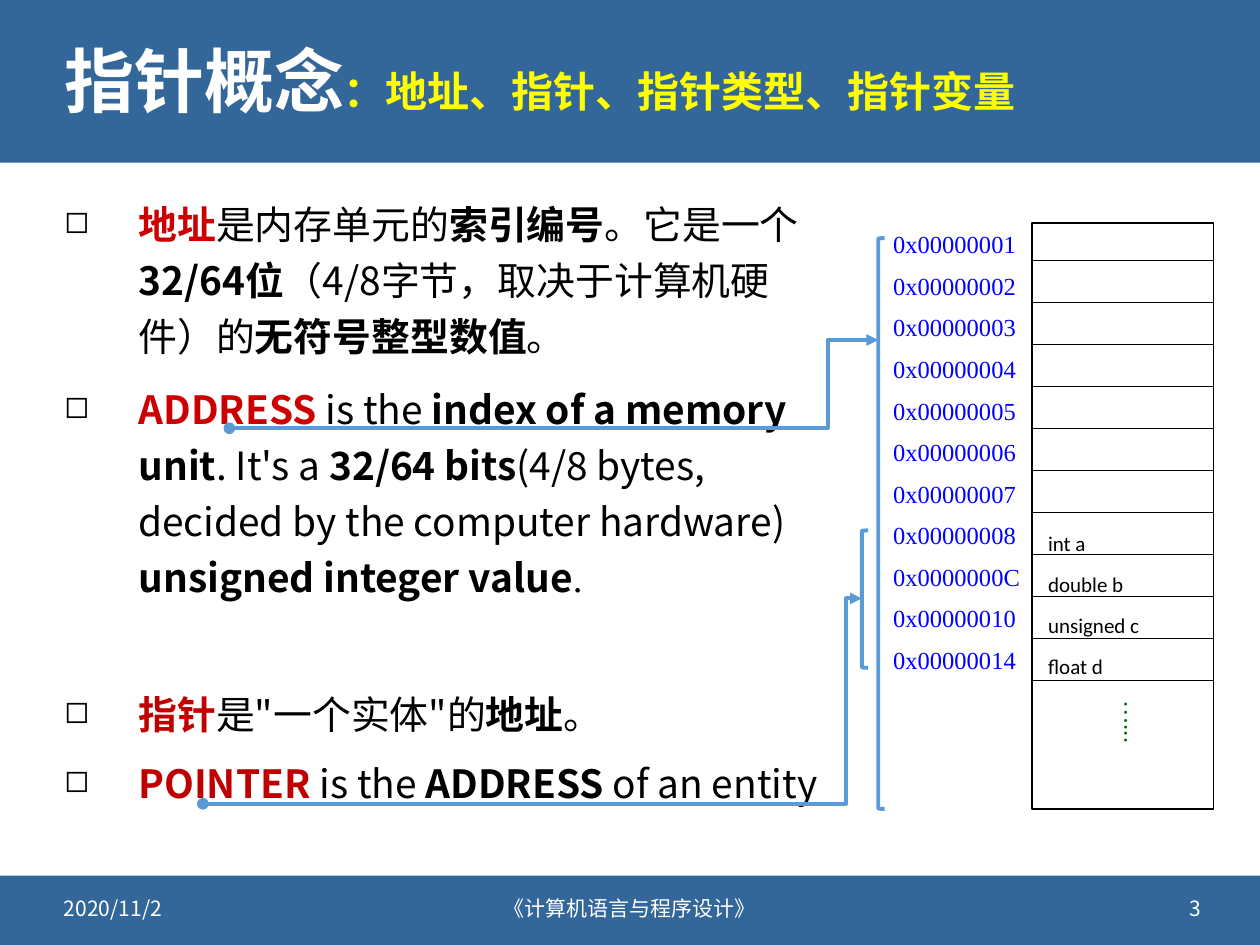
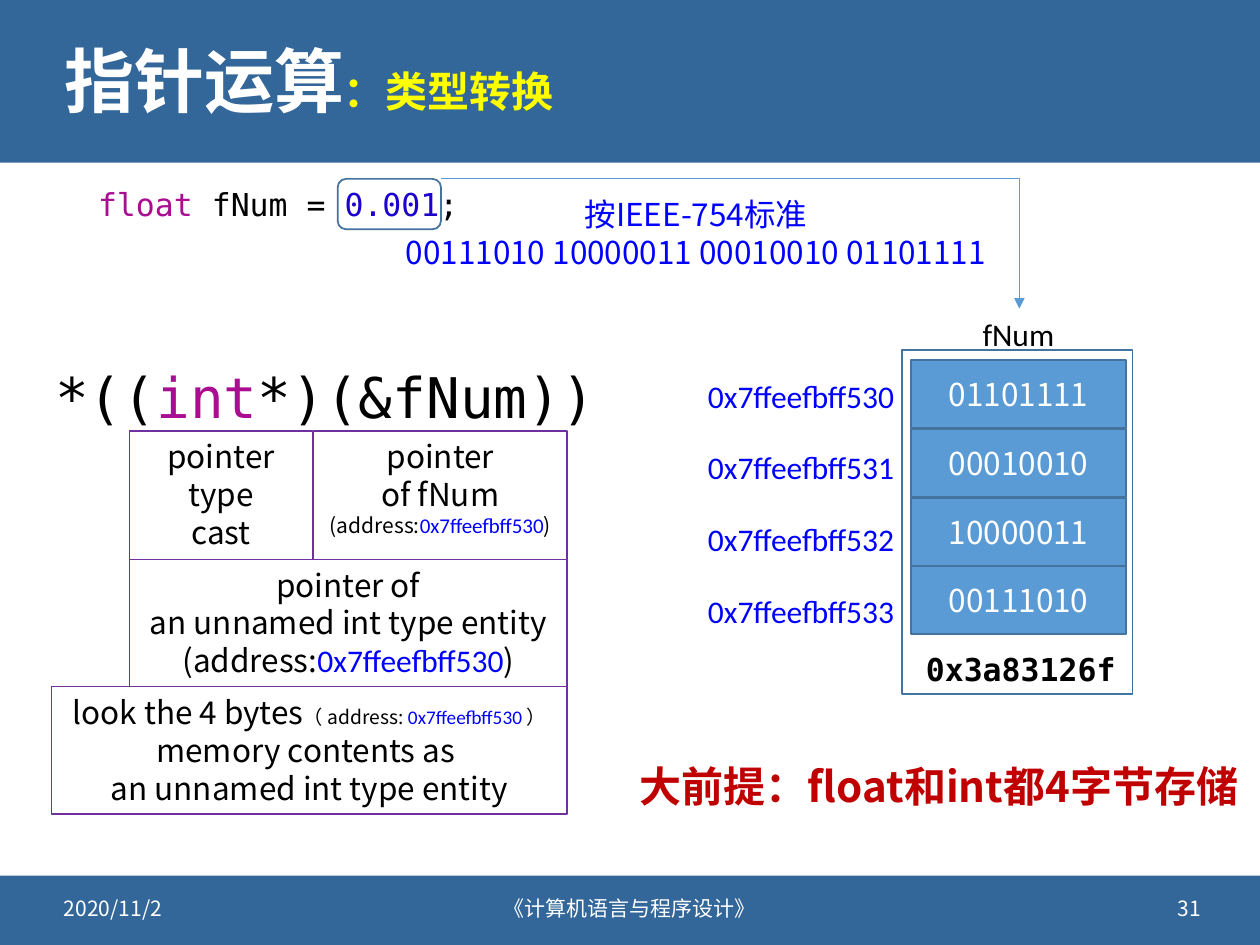
from dataclasses import dataclass, replace
from typing import NamedTuple

from lxml import etree
from pptx import Presentation
from pptx import util as u
from pptx.dml import color
from pptx.enum import shapes, text
from pptx.oxml import ns


@dataclass(frozen=True)
class Style:
    size: float
    color: str = "000000"
    font: str = "Noto Sans CJK SC"
    bold: bool = False


@dataclass(frozen=True)
class Theme:
    band: str = "336699"
    white: str = "FFFFFF"
    yellow: str = "FFFF00"
    black: str = "000000"
    red: str = "CC0000"
    dark_red: str = "C00000"
    address: str = "0000FF"
    dots: str = "006600"
    keyword: str = "AA0D91"
    number: str = "1C00CF"
    blue: str = "5B9BD5"
    edge: str = "43739E"
    purple: str = "7030A0"
    serif: str = "Times New Roman"
    sans: str = "Calibri"
    mono: str = "DejaVu Sans Mono"
    title: float = 40
    large: float = 32
    heading: float = 24
    body: float = 22.2
    label: float = 18
    cell: float = 14
    small: float = 12
    tiny: float = 11


T = Theme()
BODY = Style(T.body)
BODY_BOLD = replace(BODY, bold=True)
BODY_RED = replace(BODY_BOLD, color=T.red)
BODY_DARK_RED = replace(BODY_BOLD, color=T.dark_red)
LABEL = Style(T.label)
SMALL = Style(T.small)
TINY = Style(T.tiny)
FOOTER = Style(T.small, T.white)
CODE = Style(T.label, font=T.mono)
BIG_CODE = Style(T.large, font=T.mono)
MEMORY_ADDRESS = Style(T.cell, T.address, T.serif)
BYTE_ADDRESS = Style(T.label, T.address, T.sans)

LEFT, CENTER, RIGHT = text.PP_ALIGN.LEFT, text.PP_ALIGN.CENTER, text.PP_ALIGN.RIGHT
TOP, MIDDLE = text.MSO_ANCHOR.TOP, text.MSO_ANCHOR.MIDDLE
RECT = shapes.MSO_SHAPE.RECTANGLE
ROUND_RECT = shapes.MSO_SHAPE.ROUNDED_RECTANGLE
BRACKET = shapes.MSO_SHAPE.LEFT_BRACKET


class Box(NamedTuple):
    left: float
    top: float
    width: float
    height: float

    def lengths(self) -> list:
        return [u.Inches(value) for value in self]


class Run(NamedTuple):
    words: str
    style: Style


class Note(NamedTuple):
    box: Box
    lines: list


class Point(NamedTuple):
    before: float
    spacing: float
    runs: list


class Link(NamedTuple):
    start: tuple
    end: tuple
    bend: int


def rgb(value: str) -> color.RGBColor:
    return color.RGBColor.from_string(value)


def child(parent, tag: str, **attributes: str):
    element = etree.SubElement(parent, ns.qn(tag))
    for key, value in attributes.items():
        element.set(key, value)
    return element


def add_runs(paragraph, runs: list) -> None:
    for words, style in runs:
        run = paragraph.add_run()
        run.text = words
        run.font.size = u.Pt(style.size)
        run.font.bold = style.bold
        run.font.name = style.font
        run.font.color.rgb = rgb(style.color)
        child(run._r.get_or_add_rPr(), "a:ea", typeface=style.font)


def write(frame, lines: list, align=LEFT, anchor=TOP, wrap: bool = True) -> None:
    frame.word_wrap = wrap
    frame.vertical_anchor = anchor
    for index, runs in enumerate(lines):
        paragraph = frame.add_paragraph() if index else frame.paragraphs[0]
        paragraph.alignment = align
        add_runs(paragraph, runs)


def add_words(slide, box: Box, lines: list, align=LEFT, anchor=TOP, wrap: bool = True):
    area = slide.shapes.add_textbox(*box.lengths())
    write(area.text_frame, lines, align, anchor, wrap)
    return area


def add_outline(slide, box: Box, line: str = "", width: float = 1, fill: str = "", kind=RECT):
    outline = slide.shapes.add_shape(kind, *box.lengths())
    outline.shadow.inherit = False
    if fill:
        outline.fill.solid()
        outline.fill.fore_color.rgb = rgb(fill)
    else:
        outline.fill.background()
    if line:
        outline.line.color.rgb = rgb(line)
        outline.line.width = u.Pt(width)
    else:
        outline.line.fill.background()
    return outline


def add_line(slide, start: tuple, end: tuple, line: str, width: float,
             kind=shapes.MSO_CONNECTOR.STRAIGHT):
    ends = [u.Inches(value) for value in (*start, *end)]
    connector = slide.shapes.add_connector(kind, *ends)
    connector.line.color.rgb = rgb(line)
    connector.line.width = u.Pt(width)
    child(connector.element.spPr, "a:effectLst")
    return connector


def add_elbow(slide, link: Link, width: float, head: str = "", preset: str = "bentConnector3") -> None:
    elbow = add_line(slide, link.start, link.end, T.blue, width, shapes.MSO_CONNECTOR.ELBOW)
    geometry = elbow.element.spPr.find(ns.qn("a:prstGeom"))
    geometry.set("prst", preset)
    if link.bend:
        guides = geometry.find(ns.qn("a:avLst"))
        if guides is None:
            guides = child(geometry, "a:avLst")
        child(guides, "a:gd", name="adj1", fmla=f"val {link.bend}")
    stroke = elbow.element.spPr.find(ns.qn("a:ln"))
    if head:
        child(stroke, "a:headEnd", type=head)
    child(stroke, "a:tailEnd", type="triangle")


def start_slide(deck, topic: str, subtopic: str, number: str):
    slide = deck.slides.add_slide(deck.slide_layouts[5])
    title = slide.shapes.title
    for box in (Box(0, 0, 10, 1.29), Box(0, 6.95, 10, 0.55)):
        title.element.addprevious(add_outline(slide, box, fill=T.band).element)
    title.left, title.top, title.width, title.height = Box(0.41, 0.18, 9.19, 0.99).lengths()
    heading = [Run(topic, Style(T.title, T.white, bold=True)),
               Run(subtopic, Style(T.heading, T.yellow, bold=True))]
    write(title.text_frame, [heading], anchor=MIDDLE)
    title.text_frame.auto_size = text.MSO_AUTO_SIZE.NONE
    title.text_frame.paragraphs[0].line_spacing = 0.9
    for left, width, words, align in ((0.41, 2.4, "2020/11/2", LEFT),
                                      (3.2, 3.6, "《计算机语言与程序设计》", CENTER),
                                      (7.23, 2.4, number, RIGHT)):
        add_words(slide, Box(left, 7.01, width, 0.4), [[Run(words, FOOTER)]], align, MIDDLE)
    return slide


def add_points(slide, box: Box, points: list) -> None:
    area = add_words(slide, box, [point.runs for point in points])
    for paragraph, point in zip(area.text_frame.paragraphs, points):
        properties = paragraph._p.get_or_add_pPr()
        properties.set("marL", str(u.Inches(0.59)))
        properties.set("indent", str(-u.Inches(0.59)))
        child(child(properties, "a:buClr"), "a:srgbClr", val=T.black)
        child(properties, "a:buSzPct", val="80000")
        child(properties, "a:buChar", char="◻")
        paragraph.line_spacing = point.spacing
        paragraph.space_before = u.Pt(point.before)


def build_concept(deck) -> None:
    slide = start_slide(deck, "指针概念", "：地址、指针、指针类型、指针变量", "3")
    add_points(slide, Box(0.41, 1.47, 6.39, 5.28), [
        Point(0, 1.2, [
            Run("地址", BODY_RED), Run("是内存单元的", BODY), Run("索引编号", BODY_BOLD),
            Run("。它是一个", BODY), Run("32/64位", BODY_BOLD),
            Run("（4/8字节，取决于计算机硬件）的", BODY),
            Run("无符号整型数值", BODY_BOLD), Run("。", BODY)]),
        Point(10, 1.2, [
            Run("ADDRESS ", BODY_RED), Run("is the ", BODY),
            Run("index of a memory unit", BODY_BOLD), Run(". It's a ", BODY),
            Run("32/64 bits", BODY_BOLD),
            Run("(4/8 bytes, decided by the computer hardware) ", BODY),
            Run("unsigned integer value", BODY_BOLD), Run(".", replace(BODY, font=T.serif))]),
        Point(49, 1.1, [
            Run("指针", BODY_DARK_RED), Run("是\"一个实体\"的", BODY),
            Run("地址", BODY_BOLD), Run("。", BODY)]),
        Point(10, 1.1, [
            Run("POINTER ", BODY_DARK_RED), Run("is the ", BODY),
            Run("ADDRESS ", BODY_BOLD), Run("of an entity", BODY)]),
    ])

    memory = Box(8.19, 1.77, 1.44, 4.65)
    add_outline(slide, memory, T.black, 0.75)
    for row in range(11):
        y = 2.07 + row / 3
        add_line(slide, (memory.left, y), (memory.left + memory.width, y), T.black, 0.75)
    dots = add_words(slide, Box(8.84, 5.46, 0.33, 0.44),
                     [[Run("…...", Style(T.cell, T.dots, T.serif))]], wrap=False)
    dots.text_frame._txBody.bodyPr.set("vert", "eaVert")

    addresses = [*range(1, 9), 0x0C, 0x10, 0x14]
    for row, address in enumerate(addresses):
        add_words(slide, Box(6.99, 1.77 + 0.33 * row, 1.3, 0.34),
                  [[Run(f"0x{address:08X}", MEMORY_ADDRESS)]])
    for row, variable in enumerate(("int a", "double b", "unsigned c", "float d")):
        add_words(slide, Box(8.22, 4.16 + 0.325 * row, 1.42, 0.3),
                  [[Run(variable, replace(SMALL, font=T.sans))]])

    for span in (Box(6.97, 1.89, 0.05, 4.53), Box(6.84, 4.21, 0.05, 1.09)):
        add_outline(slide, span, T.blue, 2.25, kind=BRACKET)
    for link in (Link((1.82, 3.4), (6.97, 2.7), 92200), Link((1.61, 6.38), (6.84, 4.75), 97600)):
        add_elbow(slide, link, 2.25, "oval")


def build_conversion(deck) -> None:
    slide = start_slide(deck, "指针运算", "：类型转换", "31")
    add_words(slide, Box(0.68, 1.42, 3.1, 0.4), [[
        Run("float ", replace(CODE, color=T.keyword)), Run("fNum = ", CODE),
        Run("0.001", replace(CODE, color=T.number)), Run(";", CODE)]], wrap=False)
    add_outline(slide, Box(2.68, 1.42, 0.82, 0.4), T.edge, kind=ROUND_RECT)
    standard = replace(LABEL, color=T.address)
    add_words(slide, Box(2.96, 1.5, 5.13, 0.71), [
        [Run("按IEEE-754标准", standard)],
        [Run("00111010 10000011 00010010 01101111", standard)]], CENTER)
    add_elbow(slide, Link((3.5, 1.42), (8.09, 2.45), 0), 0.5, preset="bentConnector2")

    add_outline(slide, Box(7.16, 2.78, 1.83, 2.73), T.edge)
    add_words(slide, Box(7.7, 2.45, 0.78, 0.4),
              [[Run("fNum", replace(LABEL, font=T.sans))]], wrap=False)
    for row, bits in enumerate(("01101111", "00010010", "10000011", "00111010")):
        byte = add_outline(slide, Box(7.23, 2.86 + 0.545 * row, 1.71, 0.54), T.edge, fill=T.blue)
        write(byte.text_frame, [[Run(bits, replace(LABEL, color=T.white))]], CENTER, MIDDLE)
        add_words(slide, Box(5.52, 2.94 + 0.57 * row, 1.71, 0.4),
                  [[Run(f"0x7ffeefbff53{row}", BYTE_ADDRESS)]], wrap=False)
    add_words(slide, Box(7.25, 5.11, 1.73, 0.4),
              [[Run("0x3a83126f", replace(CODE, bold=True))]], wrap=False)

    add_words(slide, Box(0.34, 2.83, 4.52, 0.64), [[
        Run("*((", BIG_CODE), Run("int", replace(BIG_CODE, color=T.keyword)),
        Run("*)(&fNum))", BIG_CODE)]], wrap=False)
    target = "0x7ffeefbff530"
    steps = [
        Note(Box(2.49, 3.42, 2.01, 1.02), [
            [Run("pointer", LABEL)], [Run("of fNum", LABEL)],
            [Run("(address:", SMALL), Run(target, replace(BYTE_ADDRESS, size=T.small)),
             Run(")", SMALL)]]),
        Note(Box(1.03, 3.42, 1.45, 1.02),
             [[Run(word, LABEL)] for word in ("pointer", "type", "cast")]),
        Note(Box(1.03, 4.44, 3.47, 1.01), [
            [Run("pointer of", LABEL)], [Run("an unnamed int type entity", LABEL)],
            [Run("(address:", LABEL), Run(target, BYTE_ADDRESS), Run(")", LABEL)]]),
        Note(Box(0.41, 5.45, 4.09, 1.01), [
            [Run("look the 4 bytes", LABEL), Run("（ address:", TINY),
             Run(f" {target} ", replace(BYTE_ADDRESS, size=T.tiny)),
             Run("） ", TINY), Run("memory contents as ", LABEL)],
            [Run("an unnamed int type entity", LABEL)]]),
    ]
    for step in steps:
        write(add_outline(slide, step.box, T.purple, 0.75).text_frame, step.lines, CENTER)
    add_words(slide, Box(4.98, 5.99, 5.02, 0.5), [[
        Run("大前提：float和int都4字节存储", Style(T.heading, T.dark_red, bold=True))]])


def main() -> None:
    deck = Presentation()
    deck.slide_width, deck.slide_height = u.Inches(10), u.Inches(7.5)
    build_concept(deck)
    build_conversion(deck)
    deck.save("out.pptx")


if __name__ == "__main__":
    main()
